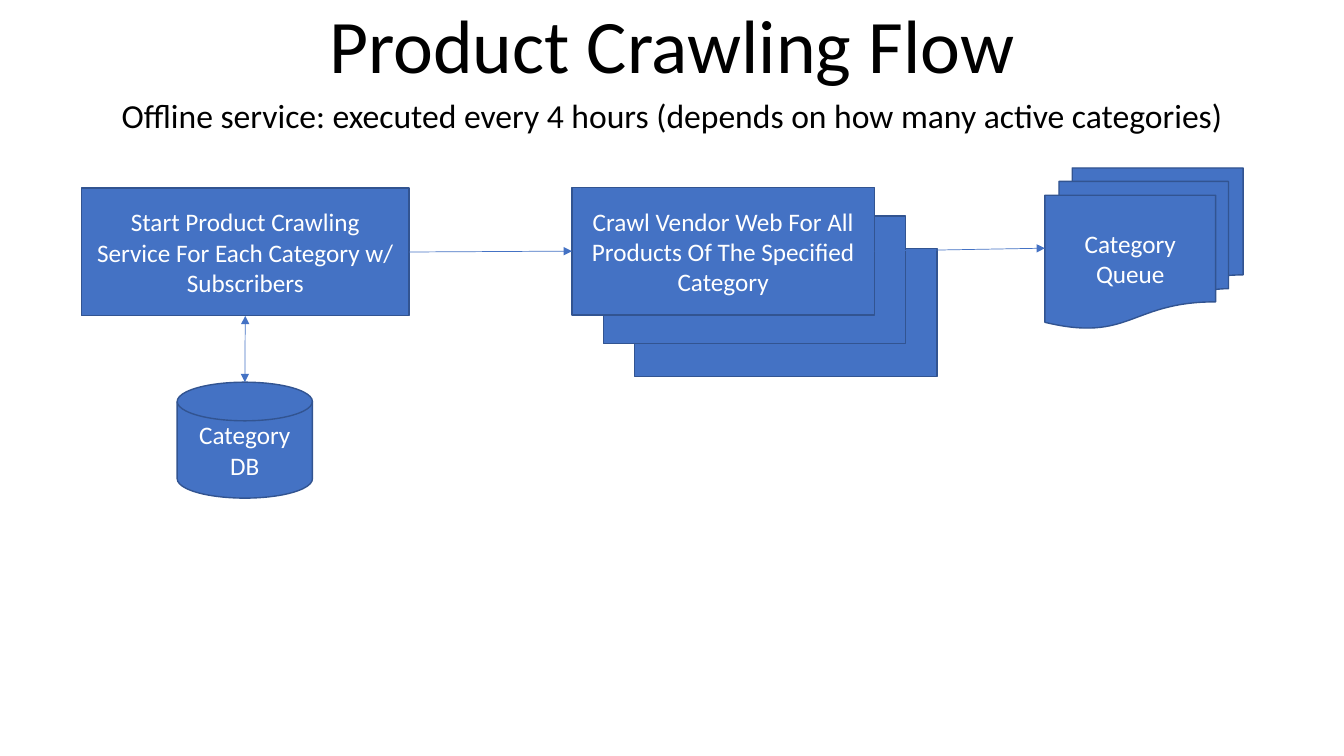
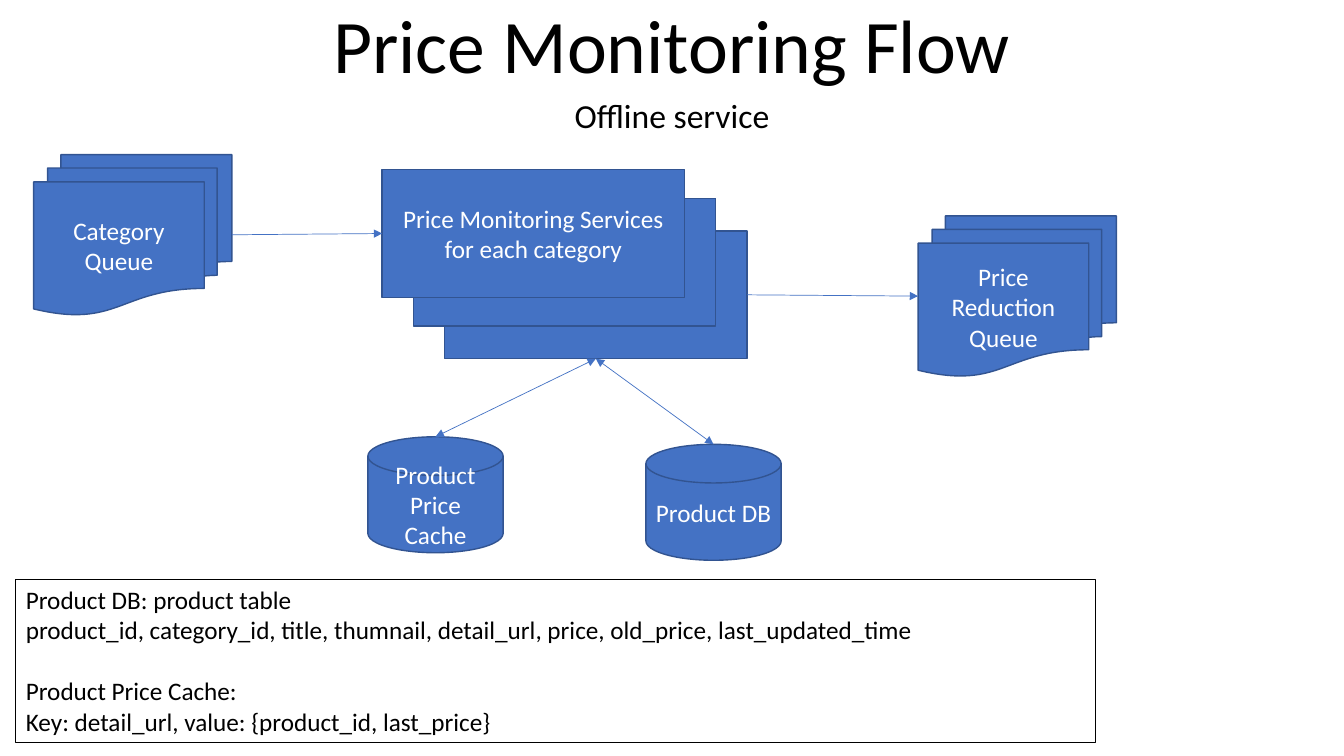
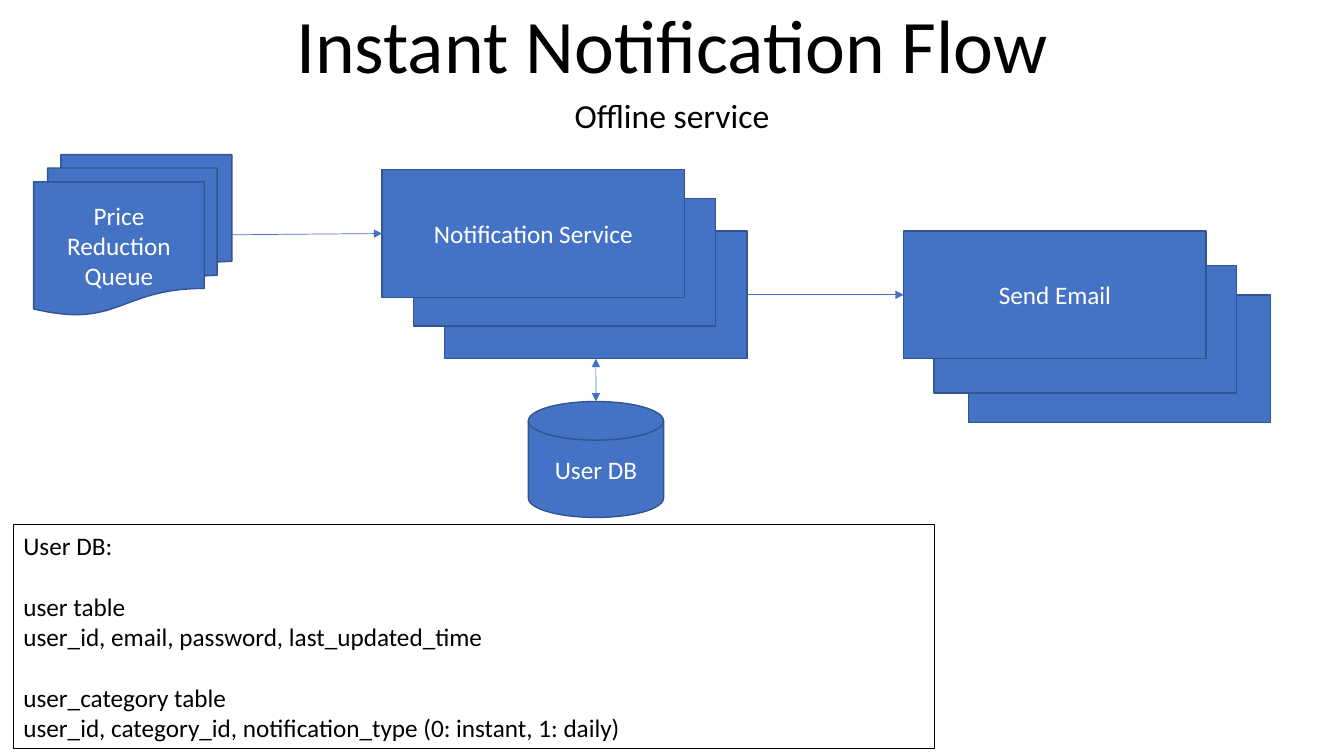
from dataclasses import dataclass
from typing import NamedTuple

from lxml import etree
from pptx import Presentation
from pptx.dml.color import RGBColor
from pptx.enum import shapes, text
from pptx.oxml import ns
from pptx import util as u

# Grid of square cells: every length below counts cells
COLS, ROWS = 160, 90
CELL = u.Inches(1) / 12


def span(n: float) -> int:
    return u.Emu(round(n * CELL))


@dataclass(frozen=True)
class Theme:
    font: str = "Calibri"
    ink: str = "000000"
    paper: str = "FFFFFF"
    fill: str = "4472C4"
    edge: str = "325491"
    title: int = 54
    lead: int = 24
    body: int = 18
    gap: int = 22
    border: float = 1
    frame: float = 0.75
    arrow: float = 0.5


class Box(NamedTuple):
    x: float
    y: float
    w: float
    h: float

    def side(self, name: str) -> tuple[int, int]:
        fx, fy = {"left": (0, 0.5), "right": (1, 0.5),
                  "top": (0.5, 0), "bottom": (0.5, 1)}[name]
        return span(self.x + fx * self.w), span(self.y + fy * self.h)

    def emu(self) -> list[int]:
        return [span(n) for n in self]


class Kind(NamedTuple):
    form: shapes.MSO_SHAPE
    w: float
    h: float
    fan: tuple = ()  # offsets of the cards behind, nearest first


class Node(NamedTuple):
    kind: Kind
    x: float
    y: float
    label: str

    def card(self, depth: int = 0) -> Box:
        dx, dy = ((0, 0), *self.kind.fan)[depth]
        return Box(self.x + dx, self.y + dy, self.kind.w, self.kind.h)


class Link(NamedTuple):
    tail: str
    out: str
    tip: str
    into: str
    depth: int = 0  # card of the tail node that the line leaves
    both: bool = False


class Note(NamedTuple):
    box: Box
    groups: tuple[str, ...]


class Page(NamedTuple):
    title: str
    lead: str
    nodes: dict[str, Node]
    links: list[Link]
    note: Note | None = None


THEME = Theme()
HEAD = Box(20, 0, 120, 11.3)
LEAD = Box(0, 11.3, COLS, ROWS - 11.3)

# Kinds of node
RECT = shapes.MSO_SHAPE.RECTANGLE
START = Kind(RECT, 39, 15.2)
STACK = Kind(RECT, 36, 15.2, ((3.72, 3.4), (7.44, 7.3)))
MAIL = Kind(RECT, 36, 15.2, ((3.6, 4.1), (7.68, 7.6)))
QUEUE = Kind(shapes.MSO_SHAPE.FLOWCHART_MULTIDOCUMENT, 23.6, 19.1)
STORE = Kind(shapes.MSO_SHAPE.FLOWCHART_MAGNETIC_DISK, 16.1, 13.8)

# Content
PAGES = [
    Page(
        "Product Crawling Flow",
        "Offline service: executed every 4 hours "
        "(depends on how many active categories)",
        {
            "start": Node(START, 9.7, 22.4, "Start Product Crawling Service "
                          "For Each Category w/ Subscribers"),
            "crawl": Node(STACK, 68.1, 22.3, "Crawl Vendor Web For All "
                          "Products Of The Specified Category"),
            "queue": Node(QUEUE, 124.4, 20, "Category Queue"),
            "store": Node(STORE, 21.1, 45.5, "Category\nDB"),
        },
        [
            Link("start", "right", "crawl", "left"),
            Link("crawl", "right", "queue", "left"),
            Link("start", "bottom", "store", "top", both=True),
        ],
    ),
    Page(
        "Price Monitoring Flow",
        "Offline service",
        {
            "queue": Node(QUEUE, 4, 18.4, "Category Queue"),
            "watch": Node(STACK, 45.5, 20.2,
                          "Price Monitoring Services\nfor each category"),
            "cuts": Node(QUEUE, 109.3, 25.7, "Price Reduction Queue"),
            "cache": Node(STORE, 43.8, 52, "Product Price Cache"),
            "store": Node(STORE, 76.9, 52.9, "Product DB"),
        },
        [
            Link("queue", "right", "watch", "left"),
            Link("watch", "right", "cuts", "left", 2),
            Link("watch", "bottom", "cache", "top", 2, True),
            Link("watch", "bottom", "store", "top", 2, True),
        ],
        Note(Box(1.9, 69, 128.5, 19.4), (
            "Product DB: product table\n"
            "product_id, category_id, title, thumnail, detail_url, price, "
            "old_price, last_updated_time",
            "Product Price Cache:\n"
            "Key: detail_url, value: {product_id, last_price}",
        )),
    ),
    Page(
        "Instant Notification Flow",
        "Offline service",
        {
            "cuts": Node(QUEUE, 4, 18.4, "Price Reduction Queue"),
            "notice": Node(STACK, 45.5, 20.2, "Notification Service"),
            "mail": Node(MAIL, 107.6, 27.5, "Send Email"),
            "store": Node(STORE, 62.9, 47.8, "User DB"),
        },
        [
            Link("cuts", "right", "notice", "left"),
            Link("notice", "right", "mail", "left", 2),
            Link("notice", "bottom", "store", "top", 2, True),
        ],
        Note(Box(1.6, 62.5, 109.7, 26.6), (
            "User DB:",
            "user table\nuser_id, email, password, last_updated_time",
            "user_category table\n"
            "user_id, category_id, notification_type (0: instant, 1: daily)",
        )),
    ),
]


# Drawing
def write(shape, words: str, size: int, color: str, anchor, align) -> list:
    frame = shape.text_frame
    frame.word_wrap = True
    frame.vertical_anchor = anchor
    frame.text = words
    for para in frame.paragraphs:
        para.alignment = align
        for run in para.runs:
            run.font.name = THEME.font
            run.font.size = u.Pt(size)
            run.font.color.rgb = RGBColor.from_string(color)
    return list(frame.paragraphs)


def stroke(shape, color: str, width: float) -> None:
    shape.line.color.rgb = RGBColor.from_string(color)
    shape.line.width = u.Pt(width)


def banner(slide, box: Box, words: str, size: int, anchor) -> None:
    area = slide.shapes.add_textbox(*box.emu())
    para, = write(area, words, size, THEME.ink, anchor, text.PP_ALIGN.CENTER)
    para.line_spacing = 0.9
    if anchor == text.MSO_ANCHOR.TOP:
        para.space_before = u.Pt(10)


def draw(slide, node: Node) -> None:
    for depth in range(len(node.kind.fan), -1, -1):
        card = slide.shapes.add_shape(node.kind.form, *node.card(depth).emu())
        card.shadow.inherit = False
        card.fill.solid()
        card.fill.fore_color.rgb = RGBColor.from_string(THEME.fill)
        stroke(card, THEME.edge, THEME.border)
    write(card, node.label, THEME.body, THEME.paper,
          text.MSO_ANCHOR.MIDDLE, text.PP_ALIGN.CENTER)


def join(slide, nodes: dict[str, Node], link: Link) -> None:
    start = nodes[link.tail].card(link.depth).side(link.out)
    end = nodes[link.tip].card().side(link.into)
    line = slide.shapes.add_connector(
        shapes.MSO_CONNECTOR.STRAIGHT, *start, *end)
    stroke(line, THEME.fill, THEME.arrow)
    props = line._element.spPr
    pen = props.find(ns.qn("a:ln"))
    for tag in ("a:headEnd", "a:tailEnd") if link.both else ("a:tailEnd",):
        etree.SubElement(pen, ns.qn(tag), type="triangle")
    etree.SubElement(props, ns.qn("a:effectLst"))


def jot(slide, note: Note) -> None:
    area = slide.shapes.add_textbox(*note.box.emu())
    stroke(area, THEME.ink, THEME.frame)
    paras = write(area, "\n".join(note.groups), THEME.body, THEME.ink,
                  text.MSO_ANCHOR.TOP, text.PP_ALIGN.LEFT)
    row = 0
    for group in note.groups[:-1]:
        row += len(group.splitlines())
        paras[row].space_before = u.Pt(THEME.gap)


def build(deck, page: Page) -> None:
    slide = deck.slides.add_slide(deck.slide_layouts[6])
    banner(slide, HEAD, page.title, THEME.title, text.MSO_ANCHOR.BOTTOM)
    banner(slide, LEAD, page.lead, THEME.lead, text.MSO_ANCHOR.TOP)
    for node in page.nodes.values():
        draw(slide, node)
    for link in page.links:
        join(slide, page.nodes, link)
    if page.note:
        jot(slide, page.note)


def main() -> None:
    deck = Presentation()
    deck.slide_width, deck.slide_height = span(COLS), span(ROWS)
    for page in PAGES:
        build(deck, page)
    deck.save("out.pptx")


if __name__ == "__main__":
    main()
